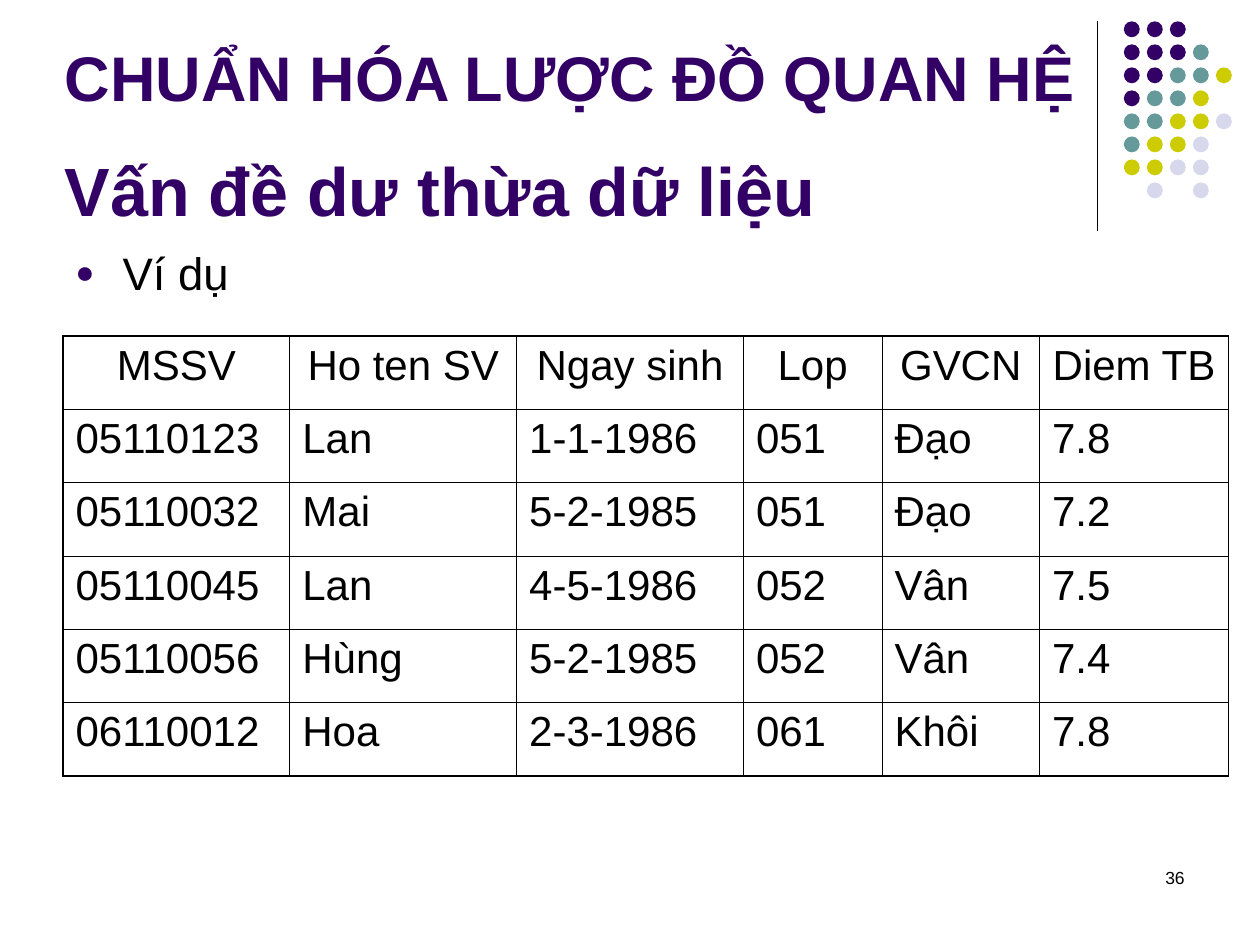
from dataclasses import dataclass, field

from lxml import etree
from pptx import Presentation
from pptx.dml.color import RGBColor
from pptx.enum import shapes, text
from pptx.oxml import ns
from pptx.util import Pt

BLACK, PURPLE = "000000", "330066"
DOT_COLOURS = {"P": PURPLE, "T": "669999", "Y": "CCCC00", "L": "D8D8EC"}
DOT_ROWS = ["PPP", "PPPT", "PPTTY", "PTTY", "TTYYL", "TYYL", "YYLL", " L L"]
DOT_LEFT, DOT_TOP, DOT_PITCH, DOT_SIZE = 642.2, 12.2, 13.15, 9.1

TABLE_LEFT, TABLE_TOP, ROW_HEIGHT = 36, 192, 41.9
COLUMN_WIDTHS = [129.6, 129.6, 129.6, 79.2, 90, 108]
STUDENTS = [
    ["MSSV", "Ho ten SV", "Ngay sinh", "Lop", "GVCN", "Diem TB"],
    ["05110123", "Lan", "1-1-1986", "051", "Đạo", "7.8"],
    ["05110032", "Mai", "5-2-1985", "051", "Đạo", "7.2"],
    ["05110045", "Lan", "4-5-1986", "052", "Vân", "7.5"],
    ["05110056", "Hùng", "5-2-1985", "052", "Vân", "7.4"],
    ["06110012", "Hoa", "2-3-1986", "061", "Khôi", "7.8"],
]
INNER_BORDER, OUTER_BORDER = 0.45, 1.08


@dataclass
class Label:
    wording: str
    left: float
    top: float
    width: float
    height: float
    size: float
    colour: str = BLACK
    bold: bool = False
    bullet: bool = False
    align: text.PP_ALIGN = text.PP_ALIGN.LEFT
    frame: dict = field(default_factory=dict)


BOTTOM = {"vertical_anchor": text.MSO_ANCHOR.BOTTOM}
LABELS = [
    Label("36", 516, 492, 168, 36, 10, align=text.PP_ALIGN.RIGHT),
    Label("Vấn đề dư thừa dữ liệu", 30, 90, 594, 45, 39, PURPLE, True, frame=BOTTOM),
    Label("Ví dụ", 36, 136.5, 648, 50, 26, bullet=True),
    Label("CHUẨN HÓA LƯỢC ĐỒ QUAN HỆ", 30, 6, 654, 63, 36, PURPLE, True, frame=BOTTOM),
]


def rgb(colour: str) -> RGBColor:
    return RGBColor.from_string(colour)


def set_all(target, values: dict) -> None:
    for name, value in values.items():
        setattr(target, name, value)


def add_child(parent, tag: str, **attributes: str):
    return etree.SubElement(parent, ns.qn(tag), attributes)


def write(para, wording: str, size: float, colour: str = BLACK, bold: bool = False) -> None:
    span = para.add_run()
    span.text = wording
    set_all(span.font, {"name": "Arial", "size": Pt(size), "bold": bold})
    span.font.color.rgb = rgb(colour)


def add_bullet(para) -> None:
    """Give the paragraph a small purple dot and a hanging indent."""
    props = para._p.get_or_add_pPr()
    props.set("marL", str(Pt(27)))
    props.set("indent", str(Pt(-27)))
    add_child(add_child(props, "a:buClr"), "a:srgbClr", val=PURPLE)
    add_child(props, "a:buSzPct", val="70000")
    add_child(props, "a:buFont", typeface="Arial")
    add_child(props, "a:buChar", char="●")


def draw_label(page, label: Label) -> None:
    box = page.shapes.add_textbox(
        Pt(label.left), Pt(label.top), Pt(label.width), Pt(label.height))
    set_all(box.text_frame, {"word_wrap": True, **label.frame})
    para = box.text_frame.paragraphs[0]
    para.alignment = label.align
    if label.bullet:
        add_bullet(para)
    write(para, label.wording, label.size, label.colour, label.bold)


def draw_divider(page) -> None:
    divider = page.shapes.add_connector(
        shapes.MSO_CONNECTOR.STRAIGHT, Pt(627), Pt(12), Pt(627), Pt(132))
    divider.line.width = Pt(0.75)
    divider.line.color.rgb = rgb(BLACK)
    add_child(divider._element.spPr, "a:effectLst")


def draw_dots(page) -> None:
    for row, codes in enumerate(DOT_ROWS):
        for column, code in enumerate(codes):
            if code == " ":
                continue
            dot = page.shapes.add_shape(
                shapes.MSO_SHAPE.OVAL,
                Pt(DOT_LEFT + column * DOT_PITCH), Pt(DOT_TOP + row * DOT_PITCH),
                Pt(DOT_SIZE), Pt(DOT_SIZE))
            dot.shadow.inherit = False
            dot.fill.solid()
            dot.fill.fore_color.rgb = rgb(DOT_COLOURS[code])
            dot.line.fill.background()


def set_borders(cell, outer_sides: dict[str, bool]) -> None:
    """Draw the four borders, thicker on the table's outer edge."""
    props = cell._tc.get_or_add_tcPr()
    for side, is_outer in outer_sides.items():
        width = OUTER_BORDER if is_outer else INNER_BORDER
        border = add_child(props, f"a:ln{side}", w=str(Pt(width)))
        add_child(add_child(border, "a:solidFill"), "a:srgbClr", val=BLACK)


def draw_table(page) -> None:
    row_count, column_count = len(STUDENTS), len(COLUMN_WIDTHS)
    table = page.shapes.add_table(
        row_count, column_count, Pt(TABLE_LEFT), Pt(TABLE_TOP),
        Pt(sum(COLUMN_WIDTHS)), Pt(row_count * ROW_HEIGHT)).table
    set_all(table, {"first_row": False, "horz_banding": False})
    for column, width in zip(table.columns, COLUMN_WIDTHS):
        column.width = Pt(width)
    for row, values in enumerate(STUDENTS):
        table.rows[row].height = Pt(ROW_HEIGHT)
        for column, value in enumerate(values):
            cell = table.cell(row, column)
            set_borders(cell, {"L": column == 0, "R": column == column_count - 1,
                               "T": row == 0, "B": row == row_count - 1})
            cell.fill.background()
            para = cell.text_frame.paragraphs[0]
            para.alignment = text.PP_ALIGN.CENTER if row == 0 else text.PP_ALIGN.LEFT
            write(para, value, 24)


def main() -> None:
    deck = Presentation()
    set_all(deck, {"slide_width": Pt(720), "slide_height": Pt(540)})
    page = deck.slides.add_slide(deck.slide_layouts[6])
    draw_divider(page)
    draw_dots(page)
    for label in LABELS:
        draw_label(page, label)
    draw_table(page)
    deck.save("out.pptx")


if __name__ == "__main__":
    main()
